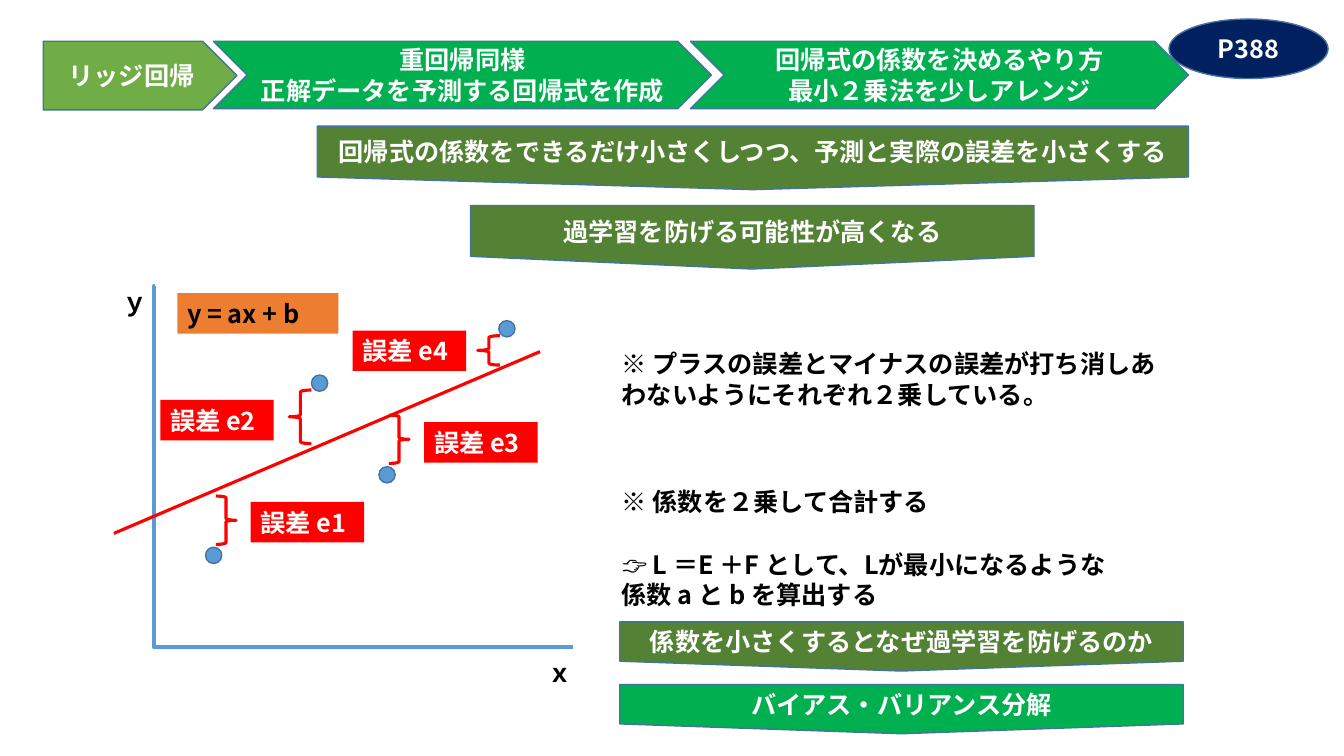
from lxml import etree
from pptx import Presentation
from pptx import util as u
from pptx.dml.color import RGBColor
from pptx.enum import shapes, text
from pptx.oxml.ns import qn

KIND = shapes.MSO_SHAPE
GREEN, DARK_GREEN, LIGHT_GREEN = "00B050", "548235", "70AD47"
BLUE, OUTLINE, NAVY = "5B9BD5", "43739E", "002060"
RED, ORANGE, WHITE, BLACK = "FF0000", "ED7D31", "FFFFFF", "000000"


def colour(value):
    return RGBColor.from_string(value)


def lengths(*values):
    return [u.Cm(value) for value in values]


def write(frame, content, color=BLACK, align=None, size=18, font="Noto Sans CJK JP"):
    """Put each line of the content into its own paragraph."""
    frame.word_wrap = True
    for index, line in enumerate(content.split("\n")):
        para = frame.paragraphs[0] if index == 0 else frame.add_paragraph()
        para.alignment = align
        span = para.add_run()
        span.text = line
        span.font.name = font
        span.font.size = u.Pt(size)
        span.font.bold = True
        span.font.color.rgb = colour(color)
        east_asian = etree.SubElement(span.font._element, qn("a:ea"))
        east_asian.set("typeface", font)


class Slide:
    def __init__(self, page):
        self.page = page

    def shape(self, kind, area, fill=None, line=OUTLINE, width=1, content=None, parent=None):
        shape = (parent or self.page).shapes.add_shape(kind, *lengths(*area))
        shape.shadow.inherit = False
        if fill:
            shape.fill.solid()
            shape.fill.fore_color.rgb = colour(fill)
        else:
            shape.fill.background()
        shape.line.color.rgb = colour(line)
        shape.line.width = u.Pt(width)
        if content:
            shape.text_frame.vertical_anchor = text.MSO_ANCHOR.MIDDLE
            write(shape.text_frame, content, WHITE, text.PP_ALIGN.CENTER)
        return shape

    def label(self, area, content, color=BLACK, fill=None, parent=None):
        box = (parent or self.page).shapes.add_textbox(*lengths(*area))
        if fill:
            box.fill.solid()
            box.fill.fore_color.rgb = colour(fill)
        write(box.text_frame, content, color)
        box.text_frame.auto_size = text.MSO_AUTO_SIZE.SHAPE_TO_FIT_TEXT

    def connector(self, kind, ends, color, width):
        line = self.page.shapes.add_connector(kind, *lengths(*ends))
        line.line.color.rgb = colour(color)
        line.line.width = u.Pt(width)
        etree.SubElement(line._element.spPr, qn("a:effectLst"))
        return line

    def axes(self, ends):
        """One elbow whose bend lies at its start, forming an L."""
        line = self.connector(shapes.MSO_CONNECTOR.ELBOW, ends, BLUE, 3)
        guides = line._element.spPr.find(qn("a:prstGeom")).get_or_add_avLst()
        etree.SubElement(guides, qn("a:gd"), name="adj1", fmla="val -200")

    def error(self, name, dot, brace_kind, brace, label):
        """Data point, brace to the regression line and error name."""
        group = self.page.shapes.add_group_shape()
        self.shape(KIND.FLOWCHART_CONNECTOR, (*dot, 0.41, 0.41), BLUE, parent=group)
        self.shape(brace_kind, brace, line=RED, width=2.25, parent=group)
        self.label((*label, 2.86, 1.02), f"誤差 {name}", WHITE, RED, group)


def main():
    deck = Presentation()
    deck.slide_width, deck.slide_height = lengths(33.87, 19.05)
    slide = Slide(deck.slides.add_slide(deck.slide_layouts[6]))

    # Process arrows
    slide.shape(KIND.PENTAGON, (1.09, 1.04, 4.88, 1.73), LIGHT_GREEN, content="リッジ回帰")
    steps = ["重回帰同様\n正解データを予測する回帰式を作成",
             "回帰式の係数を決めるやり方\n最小２乗法を少しアレンジ"]
    for index, step in enumerate(steps):
        slide.shape(KIND.CHEVRON, (5.38 + 12.02 * index, 1.04, 12.55, 1.7), GREEN, content=step)

    # Downward banners
    banners = [
        ((11.86, 5.18, 14.2, 1.6), DARK_GREEN, "過学習を防げる可能性が高くなる"),
        ((8, 3.18, 21.95, 1.6), DARK_GREEN,
         "回帰式の係数をできるだけ小さくしつつ、予測と実際の誤差を小さくする"),
        ((15.62, 15.67, 14.2, 1.24), DARK_GREEN, "係数を小さくするとなぜ過学習を防げるのか"),
        ((15.62, 17.25, 14.2, 1.24), GREEN, "バイアス・バリアンス分解"),
    ]
    for area, fill, content in banners:
        slide.shape(KIND.FLOWCHART_OFFPAGE_CONNECTOR, area, fill, content=content)

    # Regression diagram
    slide.axes((3.91, 7.21, 14.43, 16.31))
    slide.connector(shapes.MSO_CONNECTOR.STRAIGHT, (2.87, 13.44, 13.61, 8.86), RED, 2.25)
    left, right = KIND.LEFT_BRACE, KIND.RIGHT_BRACE
    slide.error("e2", (7.85, 9.45), left, (7.29, 9.83, 0.56, 1.35), (4.04, 10.08))
    slide.error("e4", (12.57, 8.08), left, (12.04, 8.46, 0.56, 0.74), (8.89, 8.33))
    slide.error("e3", (9.55, 11.76), right, (9.8, 10.46, 0.51, 1.22), (10.69, 10.64))
    slide.error("e1", (5.18, 13.79), right, (5.44, 12.5, 0.51, 1.22), (6.32, 12.65))
    slide.label((4.47, 7.39, 4.06, 1.02), "y = ax + b", fill=ORANGE)
    slide.label((13.56, 16.43, 1.27, 1.02), "ｘ")
    slide.label((2.84, 7.09, 1.27, 1.02), "ｙ")

    # Notes beside the diagram
    notes = [
        (8.66, 1.8, "※ プラスの誤差とマイナスの誤差が打ち消しあわないようにそれぞれ２乗している。"),
        (12.14, 1.02, "※ 係数を２乗して合計する"),
        (13.72, 1.8, "👉 L ＝E ＋F として、Lが最小になるような\n係数 a と b を算出する"),
    ]
    for top, height, content in notes:
        slide.label((15.42, top, 14.15, height), content)

    # Page reference
    slide.shape(KIND.OVAL, (29.46, 0.48, 4.01, 1.5), NAVY, content="P388")

    deck.save("out.pptx")


if __name__ == "__main__":
    main()
